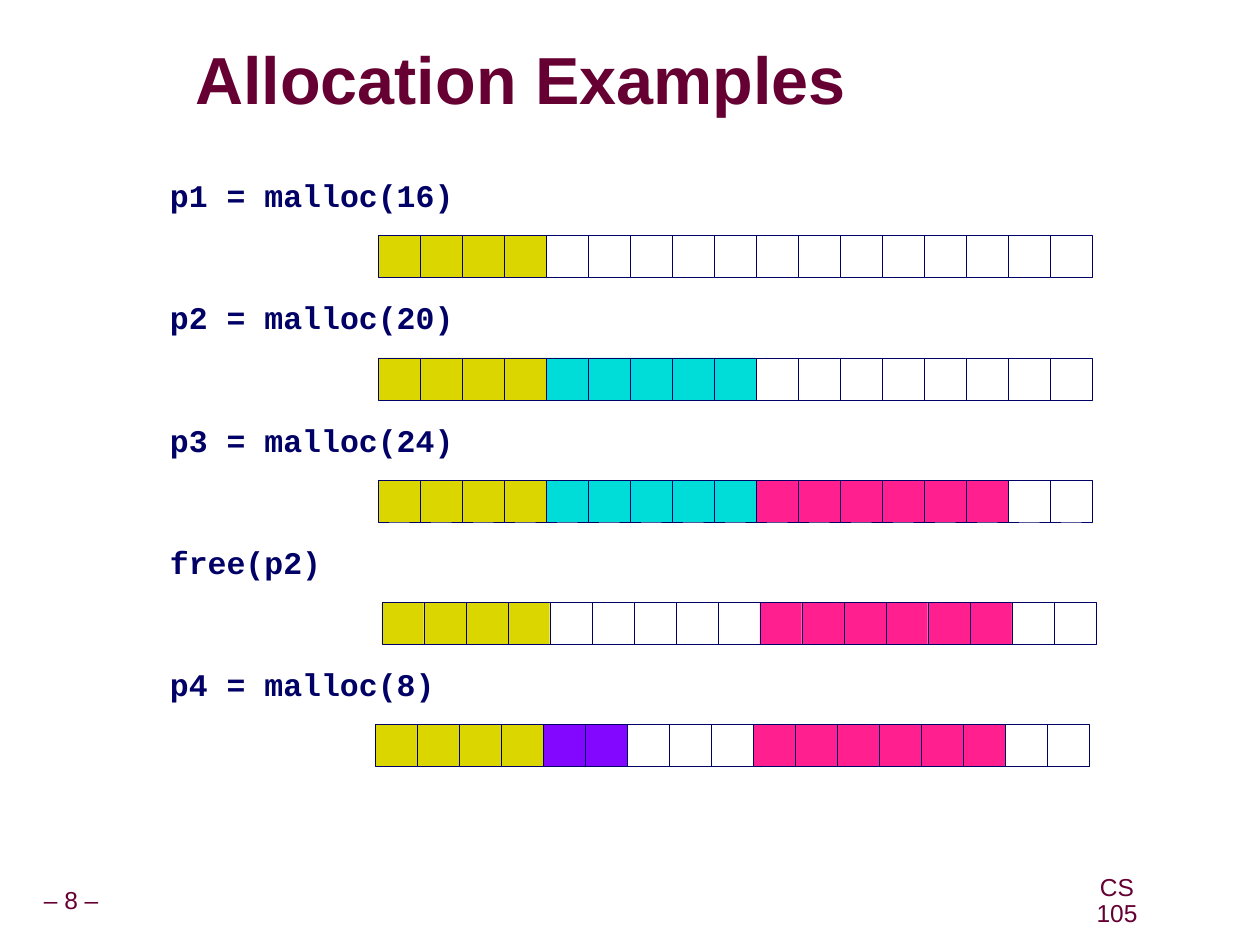
import lxml.etree
import pptx
import pptx.dml.color
import pptx.enum.shapes
import pptx.enum.text
import pptx.oxml.ns
import pptx.util

Inches = pptx.util.Inches
RGBColor = pptx.dml.color.RGBColor
Align = pptx.enum.text.PP_ALIGN
Anchor = pptx.enum.text.MSO_ANCHOR

MAROON = RGBColor(0x66, 0x00, 0x33)
NAVY = RGBColor(0x00, 0x00, 0x66)
FREE = RGBColor(0xFF, 0xFF, 0xFF)
P1 = RGBColor(0xDB, 0xD6, 0x00)
P2 = RGBColor(0x00, 0xDD, 0xD8)
P3 = RGBColor(0xFF, 0x1F, 0x8F)
P4 = RGBColor(0x83, 0x07, 0xFF)
SHADOW_GRAY = "969696"

WORD = Inches(1 / 3)
STEPS = [
    ("p1 = malloc(16)", 2.45, 3.0, [(P1, 4), (FREE, 13)]),
    ("p2 = malloc(20)", 2.45, 3.0, [(P1, 4), (P2, 5), (FREE, 8)]),
    ("p3 = malloc(24)", 2.45, 3.0, [(P1, 4), (P2, 5), (P3, 6), (FREE, 2)]),
    ("free(p2)", 1.4, 3.03, [(P1, 4), (FREE, 5), (P3, 6), (FREE, 2)]),
    ("p4 = malloc(8)", 2.3, 2.98, [(P1, 4), (P4, 2), (FREE, 3), (P3, 6), (FREE, 2)]),
]


def add_text(slide, text, box, *, size, color, font="Arial", bold=False, align=Align.LEFT,
             anchor=Anchor.MIDDLE, insets=(0.05, 0.05), wrap=False, spacing=1.0):
    """Add a text box in the given box and return its run."""
    frame = slide.shapes.add_textbox(*box).text_frame
    frame.word_wrap = wrap
    frame.vertical_anchor = anchor
    frame.margin_left = frame.margin_right = Inches(insets[0])
    frame.margin_top = frame.margin_bottom = Inches(insets[1])
    paragraph = frame.paragraphs[0]
    paragraph.alignment = align
    paragraph.line_spacing = spacing
    run = paragraph.add_run()
    run.text = text
    run.font.size = pptx.util.Pt(size)
    run.font.bold = bold
    run.font.color.rgb = color
    run.font.name = font
    return run


def add_title(slide, box):
    """Add the slide title with its gray text shadow."""
    title = add_text(slide, "Allocation Examples", box, size=38, color=MAROON, bold=True,
                     insets=(0, 0), wrap=True, spacing=0.87)
    qn = pptx.oxml.ns.qn
    effects = lxml.etree.Element(qn("a:effectLst"))
    shadow = lxml.etree.SubElement(effects, qn("a:outerShdw"), dist="50800", dir="2700000")
    lxml.etree.SubElement(shadow, qn("a:srgbClr"), val=SHADOW_GRAY)
    title.font.fill._xPr.find(qn("a:solidFill")).addnext(effects)


def add_heap(slide, left, top, blocks):
    """Draw the heap as a grouped row of words, coloured by block."""
    heap = slide.shapes.add_group_shape()
    colors = [color for color, count in blocks for _ in range(count)]
    for index, color in enumerate(colors):
        word = heap.shapes.add_shape(pptx.enum.shapes.MSO_SHAPE.RECTANGLE,
                                     left + index * WORD, top, WORD, WORD)
        word.shadow.inherit = False
        word.fill.solid()
        word.fill.fore_color.rgb = color
        word.line.color.rgb = NAVY
        word.line.width = pptx.util.Pt(0.25)


def add_step(slide, left, top, call, call_width, heap_left, blocks):
    """Place one call and the heap that results from it."""
    add_heap(slide, heap_left, top + Inches(0.52), blocks)
    add_text(slide, call, (left, top, call_width, Inches(0.4)), size=18, color=NAVY,
             font="Courier New", bold=True, anchor=Anchor.TOP, insets=(0.1, 0.05))


def add_footer(slide, top):
    """Place the page number and the course name."""
    for text, left, width in [("– 8 –", -0.09, 1.31), ("CS 105", 8.49, 0.75)]:
        add_text(slide, text, (Inches(left), top, Inches(width), Inches(0.31)),
                 size=14, color=MAROON, align=Align.CENTER, spacing=0.9)


def main():
    """Build and save the slide."""
    deck = pptx.Presentation()
    deck.slide_width, deck.slide_height = Inches(10), Inches(7.5)
    slide = deck.slides.add_slide(deck.slide_layouts[6])
    add_footer(slide, Inches(7))
    add_title(slide, (Inches(1.55), Inches(0.33), Inches(6.05), Inches(0.67)))
    for index, (call, call_width, heap_left, blocks) in enumerate(STEPS):
        add_step(slide, Inches(1.25), Inches(1.35 + 0.97 * index), call,
                 Inches(call_width), Inches(heap_left), blocks)
    deck.save("out.pptx")


if __name__ == "__main__":
    main()
